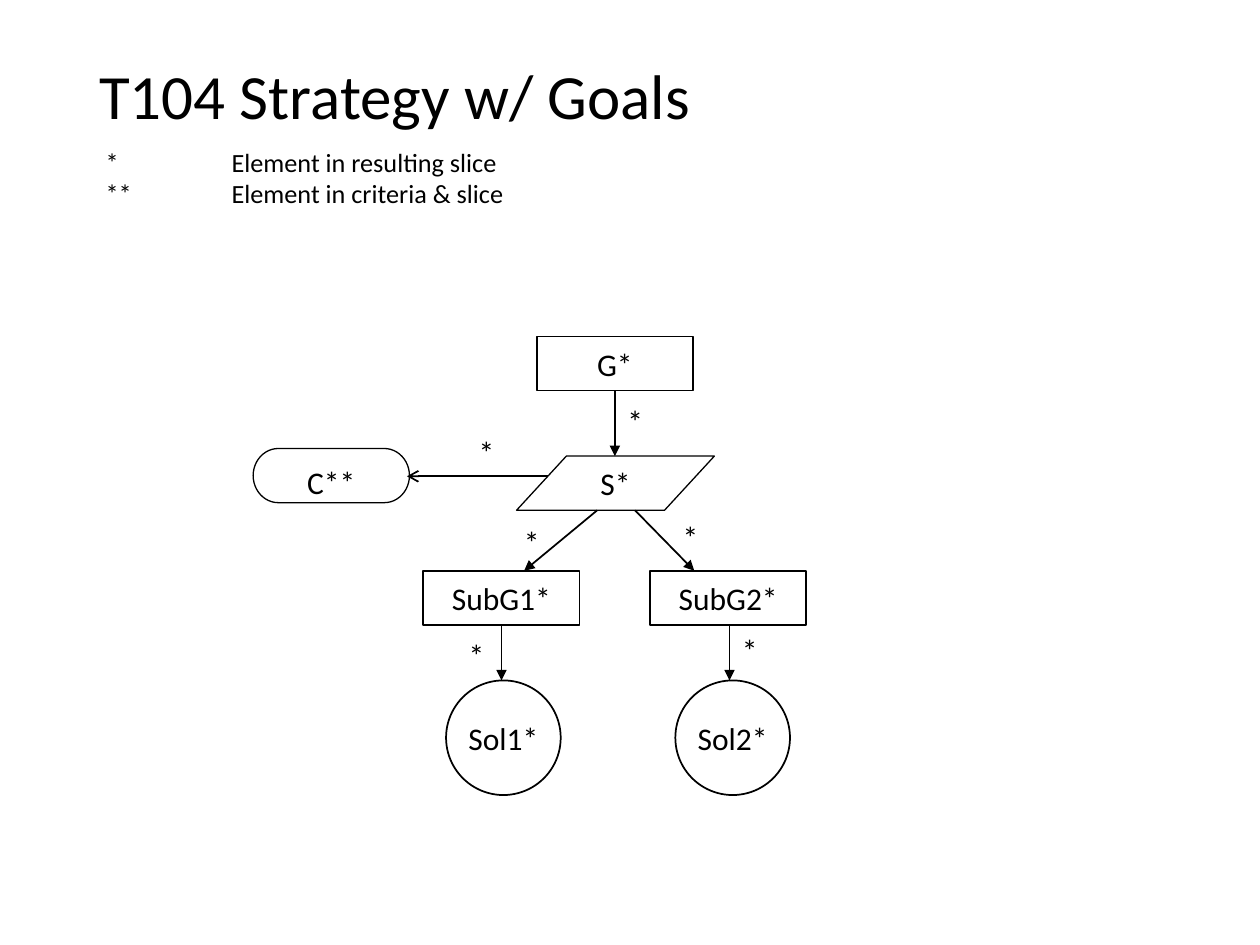
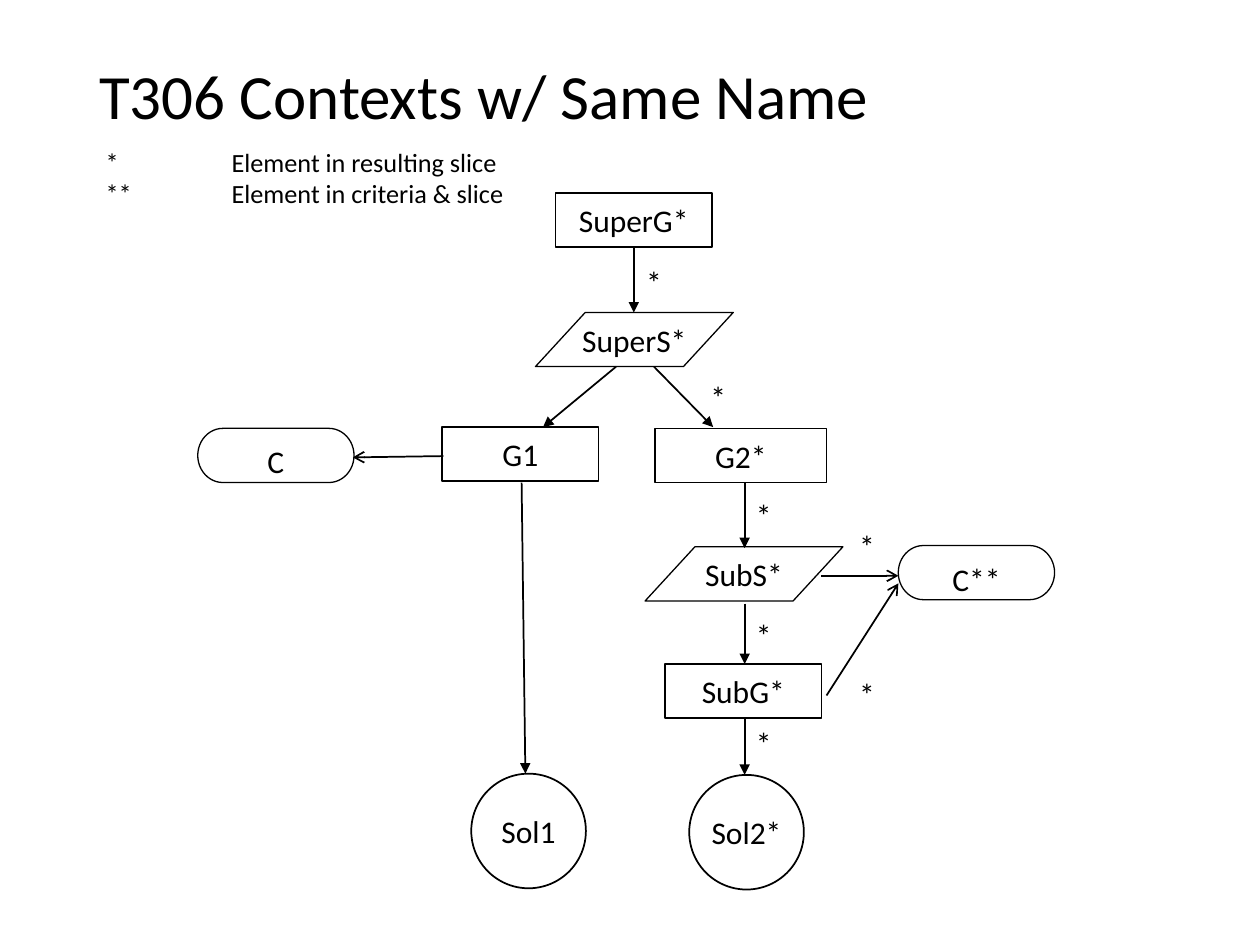
from dataclasses import dataclass

from lxml import etree
from pptx import Presentation
from pptx import slide as s
from pptx import util as u
from pptx.dml import color
from pptx.enum import shapes, text
from pptx.oxml import ns
from pptx.text import text as t

FONT = "Calibri"
BLACK = "000000"
WHITE = "FFFFFF"
LEGEND = ("*\tElement in resulting slice", "**\tElement in criteria & slice")
LEGEND_TAB = u.Inches(1)
BOX_WIDTH = 1.24
BOX_HEIGHT = 0.43


@dataclass(frozen=True)
class NodeStyle:
    preset: shapes.MSO_SHAPE
    width: float
    height: float
    line_width: float
    wrap: bool = True
    anchor: text.MSO_ANCHOR = text.MSO_ANCHOR.MIDDLE
    adjustment: float | None = None


@dataclass(frozen=True)
class Node:
    style: NodeStyle
    label: str
    left: float
    top: float
    width: float | None = None


@dataclass(frozen=True)
class Link:
    start: tuple[float, float]
    end: tuple[float, float]
    head: str = "triangle"


@dataclass(frozen=True)
class Diagram:
    title: str
    nodes: list[Node]
    links: list[Link]
    marks: list[tuple[float, float]]


GOAL = NodeStyle(shapes.MSO_SHAPE.RECTANGLE, BOX_WIDTH, BOX_HEIGHT, 0.94)
STRATEGY = NodeStyle(
    shapes.MSO_SHAPE.PARALLELOGRAM, 1.57, BOX_HEIGHT, 0.75, wrap=False, adjustment=0.92
)
SOLUTION = NodeStyle(shapes.MSO_SHAPE.OVAL, 0.91, 0.91, 1, wrap=False)
CONTEXT = NodeStyle(
    shapes.MSO_SHAPE.FLOWCHART_TERMINATOR, BOX_WIDTH, BOX_HEIGHT, 0.75,
    anchor=text.MSO_ANCHOR.TOP,
)


def rgb(value: str) -> color.RGBColor:
    return color.RGBColor.from_string(value)


def set_font(paragraph: t._Paragraph, size: float) -> None:
    paragraph.font.name = FONT
    paragraph.font.size = u.Pt(size)
    paragraph.font.color.rgb = rgb(BLACK)


def add_text(
    slide: s.Slide, lines: tuple[str, ...], left: float, top: float,
    width: float, height: float, size: float,
) -> t.TextFrame:
    box = slide.shapes.add_textbox(*map(u.Inches, (left, top, width, height)))
    frame = box.text_frame
    frame.word_wrap = True
    frame.text = "\n".join(lines)
    for paragraph in frame.paragraphs:
        set_font(paragraph, size)
    return frame


def add_title(slide: s.Slide, title: str) -> None:
    frame = add_text(slide, (title,), 0.69, 0.4, 8.63, 0.78, 36)
    frame.vertical_anchor = text.MSO_ANCHOR.MIDDLE
    frame.paragraphs[0].line_spacing = 0.9


def add_legend(slide: s.Slide) -> None:
    frame = add_text(slide, LEGEND, 0.74, 1.11, 4.14, 0.62, 15)
    for paragraph in frame.paragraphs:
        tabs = etree.Element(ns.qn("a:tabLst"))
        etree.SubElement(tabs, ns.qn("a:tab"), pos=str(LEGEND_TAB), algn="l")
        paragraph._p.get_or_add_pPr().insert(0, tabs)


def add_node(slide: s.Slide, node: Node) -> None:
    style = node.style
    bounds = (node.left, node.top, node.width or style.width, style.height)
    shape = slide.shapes.add_shape(style.preset, *map(u.Inches, bounds))
    if style.adjustment is not None:
        shape.adjustments[0] = style.adjustment
    shape.shadow.inherit = False
    shape.fill.solid()
    shape.fill.fore_color.rgb = rgb(WHITE)
    shape.line.color.rgb = rgb(BLACK)
    shape.line.width = u.Pt(style.line_width)
    frame = shape.text_frame
    frame.word_wrap = style.wrap
    frame.vertical_anchor = style.anchor
    frame.text = node.label
    paragraph = frame.paragraphs[0]
    paragraph.alignment = text.PP_ALIGN.CENTER
    set_font(paragraph, 18)


def add_link(slide: s.Slide, link: Link) -> None:
    connector = slide.shapes.add_connector(
        shapes.MSO_CONNECTOR.STRAIGHT, *map(u.Inches, link.start + link.end)
    )
    connector.line.color.rgb = rgb(BLACK)
    connector.line.width = u.Pt(1)
    properties = connector.element.spPr
    etree.SubElement(properties.find(ns.qn("a:ln")), ns.qn("a:tailEnd"), type=link.head)
    etree.SubElement(properties, ns.qn("a:effectLst"))


def down(x: float, top: float, bottom: float) -> Link:
    return Link((x, top), (x, bottom))


def strategy_nodes(left: float, top: float, goal: str, strategy: str, child: str) -> list[Node]:
    return [
        Node(GOAL, goal, left, top),
        Node(STRATEGY, strategy, left - 0.16, top + 0.95),
        Node(GOAL, child, left - 0.9, top + 1.86),
    ]


def strategy_links(left: float, top: float) -> list[Link]:
    fan_top, fan_bottom = top + 1.38, top + 1.86
    return [
        down(left + 0.62, top + BOX_HEIGHT, top + 0.95),
        Link((left + 0.48, fan_top), (left - 0.1, fan_bottom)),
        Link((left + 0.78, fan_top), (left + 1.25, fan_bottom)),
    ]


def add_diagram(presentation: Presentation, diagram: Diagram) -> None:
    slide = presentation.slides.add_slide(presentation.slide_layouts[6])
    add_legend(slide)
    add_title(slide, diagram.title)
    for node in diagram.nodes:
        add_node(slide, node)
    for link in diagram.links:
        add_link(slide, link)
    for left, top in diagram.marks:
        add_text(slide, ("*",), left, top, 0.32, 0.4, 18)


DIAGRAMS = [
    Diagram(
        "T104 Strategy w/ Goals",
        strategy_nodes(4.26, 2.67, "G*", "S*", "SubG1*")
        + [
            Node(GOAL, "SubG2*", 5.16, 4.53),
            Node(SOLUTION, "Sol1*", 3.54, 5.4),
            Node(SOLUTION, "Sol2*", 5.36, 5.4),
            Node(CONTEXT, "C**", 2.01, 3.56),
        ],
        strategy_links(4.26, 2.67)
        + [down(x, 4.96, 5.4) for x in (3.98, 5.79)]
        + [Link((4.35, 3.78), (3.23, 3.78), "arrow")],
        [(4.88, 3.14), (3.7, 3.39), (4.06, 4.1), (5.32, 4.06), (3.62, 5), (5.79, 4.96)],
    ),
    Diagram(
        "T306 Contexts w/ Same Name",
        strategy_nodes(4.41, 1.53, "SuperG*", "SuperS*", "G1")
        + [
            Node(GOAL, "G2*", 5.2, 3.4, 1.36),
            Node(SOLUTION, "Sol1", 3.74, 6.14),
            Node(CONTEXT, "C", 1.57, 3.4),
            Node(STRATEGY, "SubS*", 5.12, 4.34),
            Node(GOAL, "SubG*", 5.28, 5.27),
            Node(SOLUTION, "Sol2*", 5.47, 6.15),
            Node(CONTEXT, "C**", 7.13, 4.33),
        ],
        strategy_links(4.41, 1.53)
        + [down(5.91, *span) for span in ((3.83, 4.35), (4.79, 5.27), (5.7, 6.15))]
        + [
            Link((4.14, 3.83), (4.17, 6.14)),
            Link((3.52, 3.62), (2.8, 3.63), "arrow"),
            Link((6.52, 4.57), (7.13, 4.57), "arrow"),
            Link((6.56, 5.52), (7.13, 4.63), "arrow"),
        ],
        [(5.9, top) for top in (3.89, 4.84, 5.7)]
        + [(5.54, 2.95), (5.03, 2.04), (6.72, 4.13), (6.72, 5.31)],
    ),
]


def main() -> None:
    presentation = Presentation()
    presentation.slide_width = u.Inches(10)
    presentation.slide_height = u.Inches(7.5)
    for diagram in DIAGRAMS:
        add_diagram(presentation, diagram)
    presentation.save("out.pptx")


if __name__ == "__main__":
    main()
